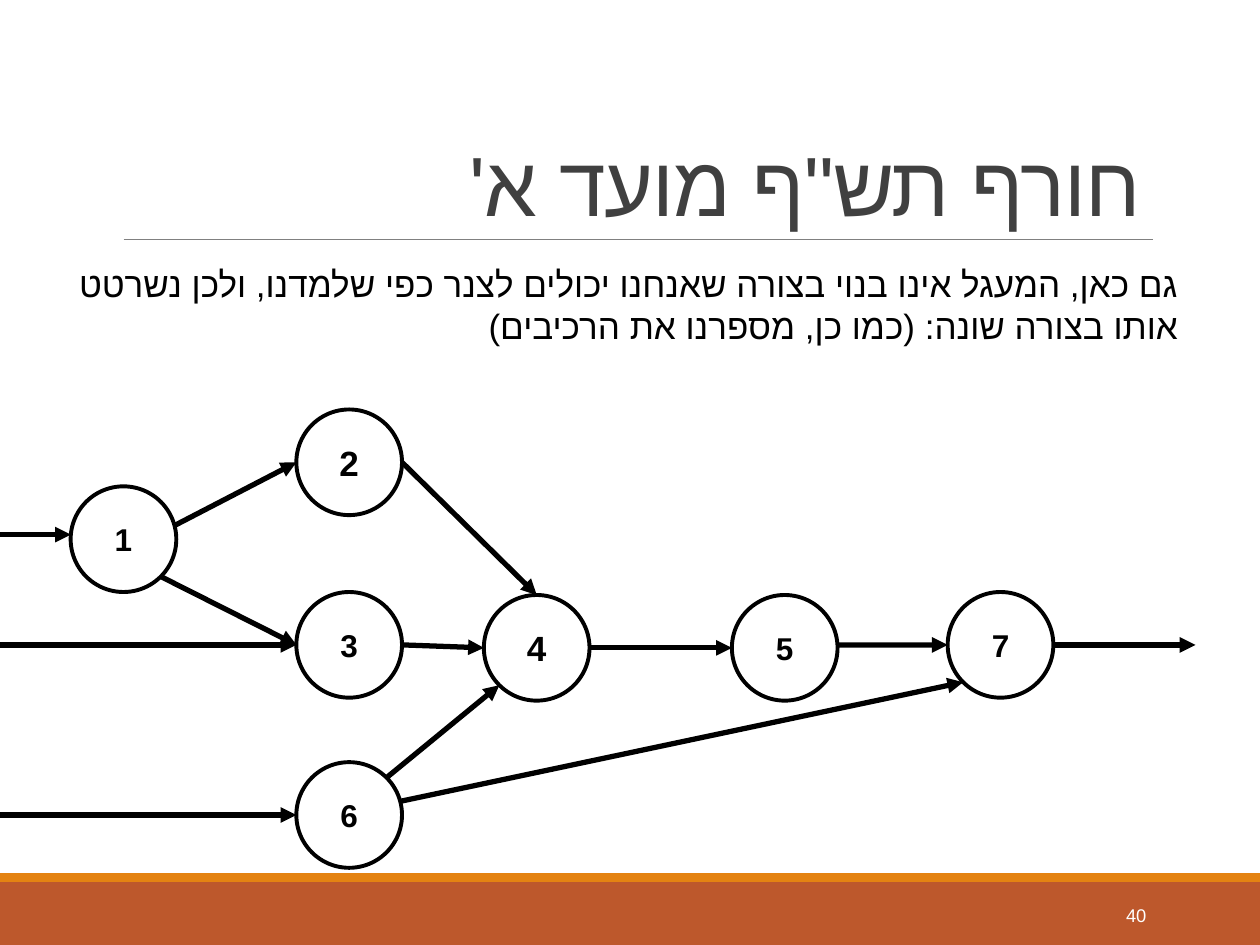
from dataclasses import dataclass
from math import cos, radians, sin

from lxml import etree
from pptx import Presentation
from pptx.dml.color import RGBColor
from pptx.enum import shapes, text
from pptx.oxml.ns import qn
from pptx.util import Cm, Pt

COLORS = {
    "ink": "000000",
    "title": "404040",
    "rule": "808080",
    "footer": "BD582C",
    "accent": "E48312",
    "white": "FFFFFF",
}
DIAMETER = 2.13


@dataclass(frozen=True)
class Stage:
    """A numbered component, placed by its centre in cm."""
    number: int
    x: float
    y: float
    size: int = 18

    def rim(self, angle: float) -> tuple[float, float]:
        """Point on the circle, counter-clockwise from the right in degrees."""
        turn, radius = radians(angle), DIAMETER / 2
        return self.x + radius * cos(turn), self.y - radius * sin(turn)


@dataclass(frozen=True)
class Wire:
    """A link between two stages, with the rim angle at each end."""
    source: int
    source_angle: float
    target: int
    target_angle: float


STAGES = {stage.number: stage for stage in (
    Stage(1, 2.49, 10.87),
    Stage(2, 7.04, 9.32, 20),
    Stage(3, 7.04, 13),
    Stage(4, 10.82, 13.06, 20),
    Stage(5, 15.82, 13.06),
    Stage(6, 7.04, 16.43),
    Stage(7, 20.17, 13),
)}
WIRES = (
    Wire(1, 15, 2, 180),
    Wire(1, -45, 3, 180),
    Wire(2, 0, 4, 90),
    Wire(3, 0, 4, 180),
    Wire(4, 0, 5, 180),
    Wire(5, 3, 7, 180),
    Wire(6, 45, 4, 225),
    Wire(6, 15, 7, 225),
)
# Stage -> (start of its input line, rim angle where the line arrives)
INPUTS = {1: (-2.18, 175), 3: (-0.84, 180), 6: (-1.5, 180)}
OUTPUT_END = 24.1


def rgb(name: str) -> RGBColor:
    return RGBColor.from_string(COLORS[name])


def write(shape, words: str, size: float, color: str, align, anchor,
          font: str = "Calibri", bold: bool = False):
    """Fill a shape with one right-to-left paragraph and return its run."""
    frame = shape.text_frame
    layout = {"word_wrap": True, "vertical_anchor": anchor,
              "auto_size": text.MSO_AUTO_SIZE.NONE}
    for key, value in layout.items():
        setattr(frame, key, value)
    paragraph = frame.paragraphs[0]
    paragraph.alignment = align
    paragraph._p.get_or_add_pPr().set("rtl", "1")
    run = paragraph.add_run()
    run.text = words
    for key, value in {"name": font, "size": Pt(size), "bold": bold}.items():
        setattr(run.font, key, value)
    run.font.color.rgb = rgb(color)
    etree.SubElement(run._r.get_or_add_rPr(), qn("a:cs"), typeface="Arial")
    return run


def draw_band(slide, top: float, height: float, color: str) -> None:
    band = slide.shapes.add_shape(shapes.MSO_SHAPE.RECTANGLE, 0, Cm(top),
                                  Cm(25.4), Cm(height))
    band.shadow.inherit = False
    band.fill.solid()
    band.fill.fore_color.rgb = rgb(color)
    band.line.fill.background()


def draw_line(slide, start: tuple[float, float], end: tuple[float, float],
              color: str = "ink", width: float = 3, arrow: bool = True) -> None:
    line = slide.shapes.add_connector(
        shapes.MSO_CONNECTOR.STRAIGHT, *(Cm(v) for v in (*start, *end)))
    line.line.color.rgb = rgb(color)
    line.line.width = Pt(width)
    if arrow:
        etree.SubElement(line.line._get_or_add_ln(), qn("a:tailEnd"),
                         type="triangle")
    etree.SubElement(line._element.spPr, qn("a:effectLst"))


def draw_stage(slide, stage: Stage) -> None:
    circle = slide.shapes.add_shape(
        shapes.MSO_SHAPE.OVAL, Cm(stage.x - DIAMETER / 2),
        Cm(stage.y - DIAMETER / 2), Cm(DIAMETER), Cm(DIAMETER))
    circle.shadow.inherit = False
    circle.fill.background()
    circle.line.color.rgb = rgb("ink")
    circle.line.width = Pt(2.25)
    write(circle, str(stage.number), stage.size, "ink",
          text.PP_ALIGN.CENTER, text.MSO_ANCHOR.MIDDLE, bold=True)


def main() -> None:
    deck = Presentation()
    deck.slide_width, deck.slide_height = Cm(25.4), Cm(19.05)
    slide = deck.slides.add_slide(deck.slide_layouts[5])

    draw_band(slide, 17.78, 1.27, "footer")
    draw_band(slide, 17.6, 0.18, "accent")
    draw_line(slide, (2.49, 4.83), (23.24, 4.83), "rule", 0.5, arrow=False)

    title = slide.shapes.title
    bounds = {"left": 2.29, "top": 0.79, "width": 20.96, "height": 4.04}
    for key, value in bounds.items():
        setattr(title, key, Cm(value))
    heading = write(title, "חורף תש\"ף מועד א'", 48, "title",
                    text.PP_ALIGN.RIGHT, text.MSO_ANCHOR.BOTTOM)
    heading._r.get_or_add_rPr().set("spc", "-50")
    title.text_frame.paragraphs[0].line_spacing = 0.85

    page = slide.shapes.add_textbox(Cm(20.62), Cm(17.93), Cm(2.74), Cm(1.02))
    write(page, "40", 10.5, "white", text.PP_ALIGN.RIGHT,
          text.MSO_ANCHOR.MIDDLE)

    explanation = slide.shapes.add_textbox(Cm(0.64), Cm(5.16), Cm(23.37),
                                           Cm(1.96))
    write(explanation,
          "גם כאן, המעגל אינו בנוי בצורה שאנחנו יכולים לצנר כפי שלמדנו, "
          "ולכן נשרטט אותו בצורה שונה: (כמו כן, מספרנו את הרכיבים)",
          20, "ink", text.PP_ALIGN.RIGHT, text.MSO_ANCHOR.TOP, font="Arial")

    for stage in STAGES.values():
        draw_stage(slide, stage)
    for wire in WIRES:
        draw_line(slide, STAGES[wire.source].rim(wire.source_angle),
                  STAGES[wire.target].rim(wire.target_angle))
    for number, (start_x, angle) in INPUTS.items():
        entry = STAGES[number].rim(angle)
        draw_line(slide, (start_x, entry[1]), entry)
    outlet = STAGES[7].rim(0)
    draw_line(slide, outlet, (OUTPUT_END, outlet[1]))

    deck.save("out.pptx")


if __name__ == "__main__":
    main()
